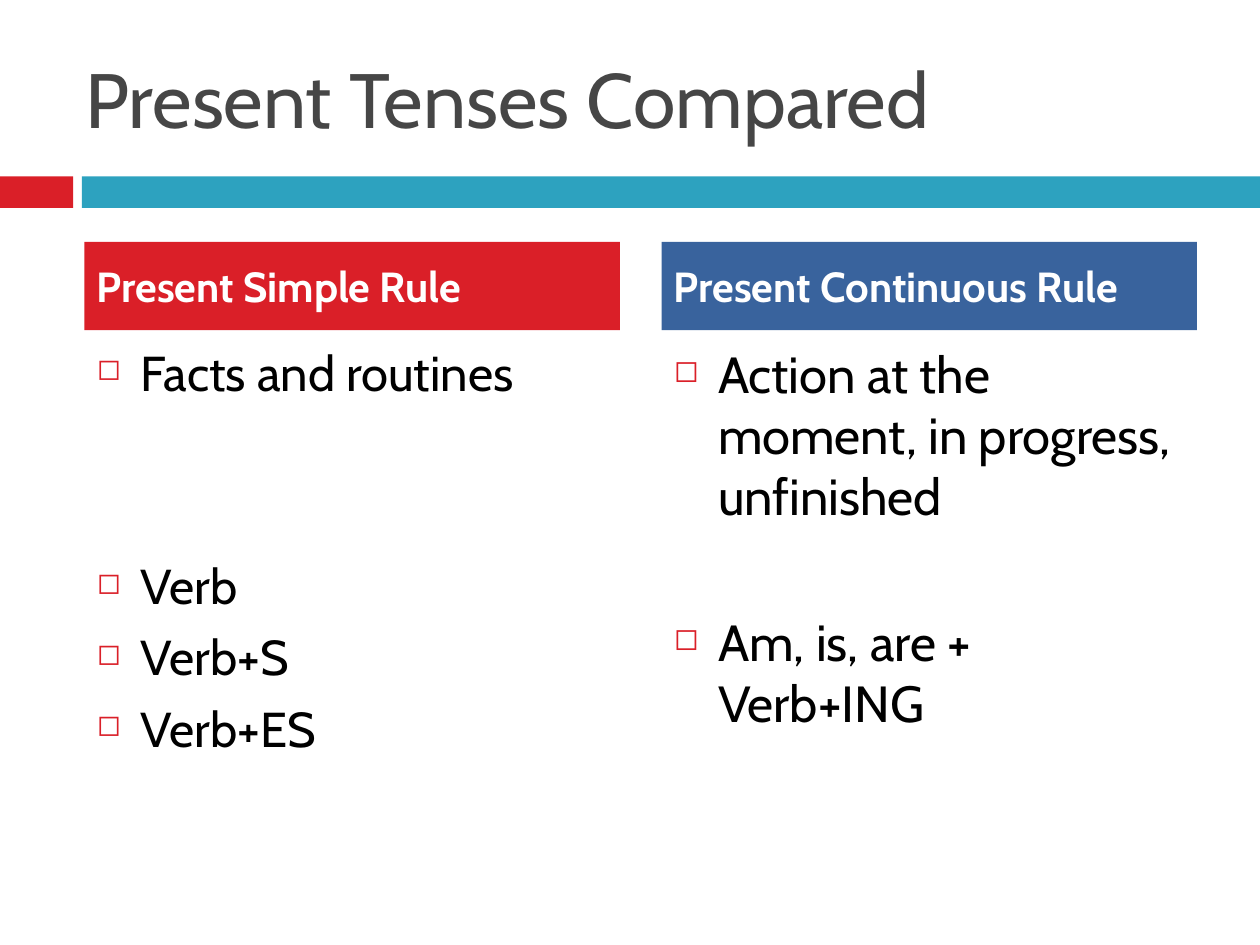
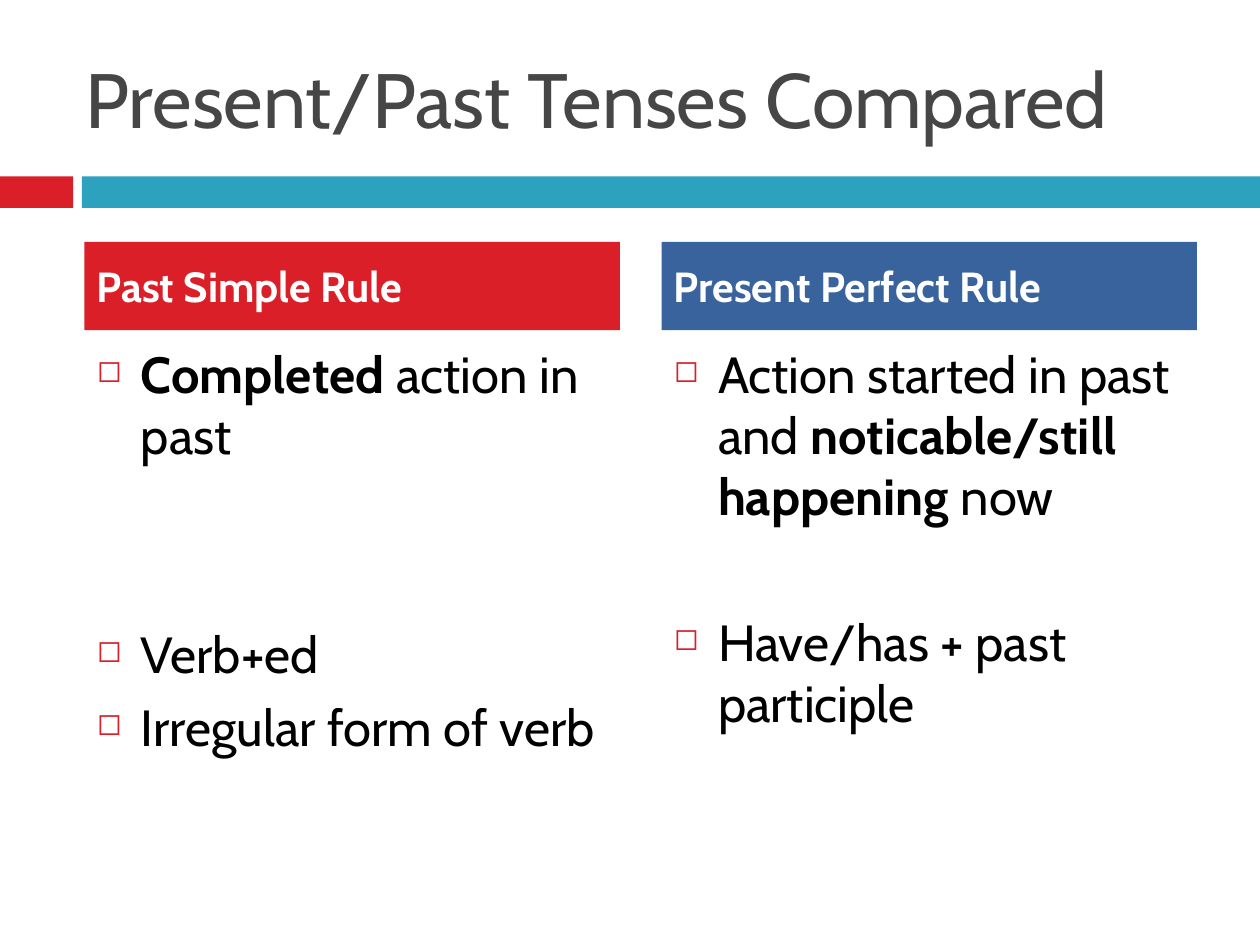
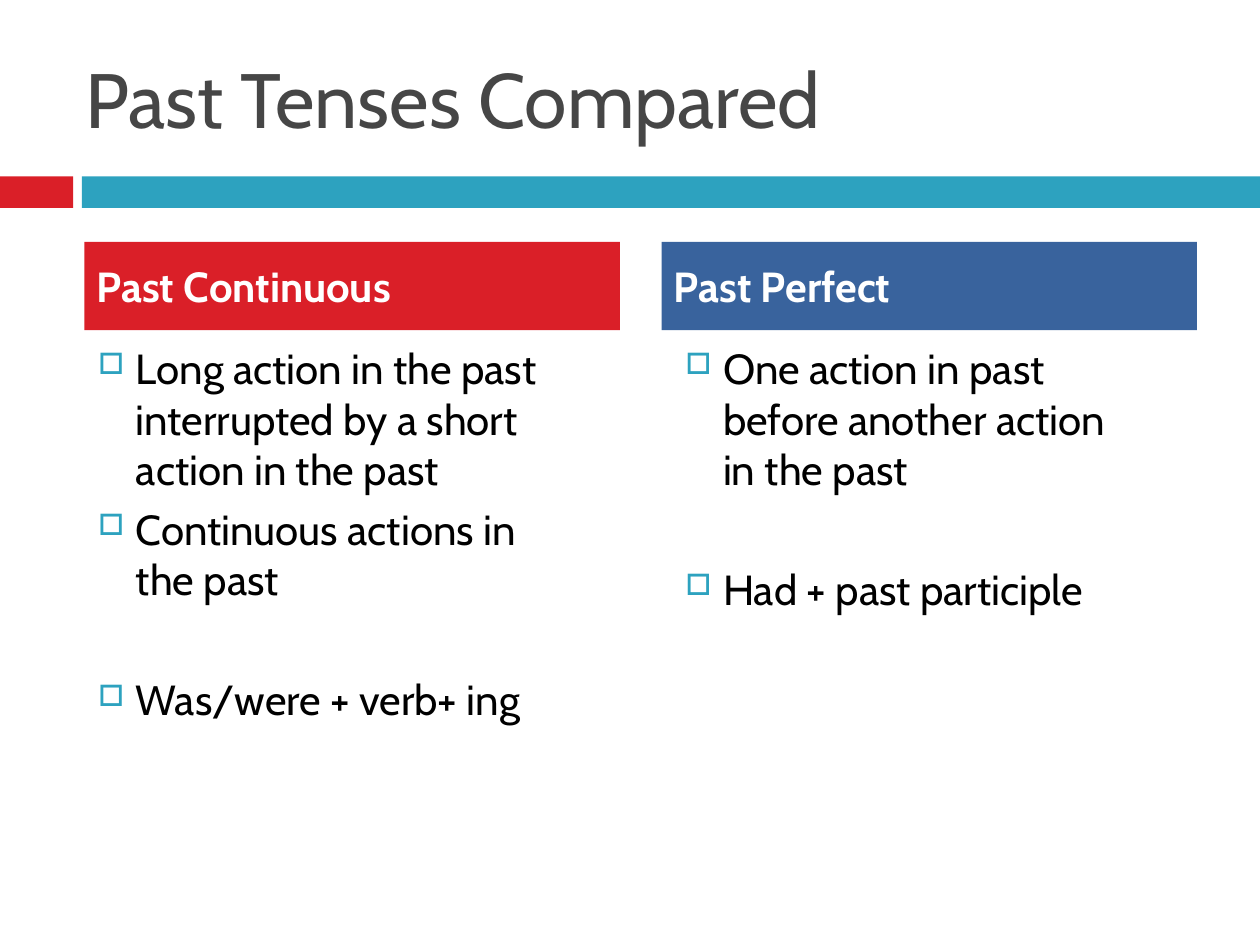
import pptx
import pptx.dml.color
import pptx.enum.shapes
import pptx.enum.text
import pptx.oxml.ns
import pptx.util
import lxml.etree
from dataclasses import dataclass

Inches = pptx.util.Inches
MIDDLE = pptx.enum.text.MSO_ANCHOR.MIDDLE

# Shared look
FONT = "Cabin"
RED, TEAL, BLUE = "DA1F28", "2DA2BF", "39639D"
GREY, BLACK, WHITE = "464646", "000000", "FFFFFF"
LINE_HEIGHT = 1.2

# Shared grid, in inches
TITLE_BOX = (0.58, 0.3, 8.92, 0.95)
BAND_TOP, BAND_HEIGHT = 1.4, 0.25
COLUMN_LEFTS, COLUMN_WIDTH = (0.67, 5.25), 4.25
HEADING_TOP, HEADING_HEIGHT = 1.92, 0.7
LIST_TOP, LIST_HEIGHT = 2.67, 3.92


@dataclass(frozen=True)
class ListStyle:
    symbol: str
    color: str
    percent: int
    indent: float
    hanging: float
    before: float


MAIN_LIST = ListStyle("◻", RED, 60, 0.35, 0.35, 7)
SUB_LIST = ListStyle("□", TEAL, 70, 0.7, 0.3, 5.5)


@dataclass
class Column:
    heading: str
    items: list  # (runs, blank lines above); runs are text or (text, bold) pairs
    size: float
    style: ListStyle = MAIN_LIST
    shift: float = 0


def rgb(value):
    return pptx.dml.color.RGBColor.from_string(value)


def add_text(para, text, size=24, color=BLACK, bold=False):
    span = para.add_run()
    span.text = text
    span.font.name = FONT
    span.font.size = pptx.util.Pt(size)
    span.font.bold = bold
    span.font.color.rgb = rgb(color)


def add_text_box(page, box, anchor=pptx.enum.text.MSO_ANCHOR.TOP):
    frame = page.shapes.add_textbox(*map(Inches, box)).text_frame
    frame.word_wrap = True
    frame.vertical_anchor = anchor
    return frame


def add_block(page, box, color):
    block = page.shapes.add_shape(
        pptx.enum.shapes.MSO_SHAPE.RECTANGLE, *map(Inches, box))
    block.shadow.inherit = False
    block.fill.solid()
    block.fill.fore_color.rgb = rgb(color)
    block.line.fill.background()
    return block


def add_bullet(para, style):
    properties = para._p.get_or_add_pPr()
    properties.set("marL", str(Inches(style.indent)))
    properties.set("indent", str(-Inches(style.hanging)))

    def add(parent, tag, value_name, value):
        child = lxml.etree.SubElement(parent, pptx.oxml.ns.qn(tag))
        child.set(value_name, value)

    bullet_color = lxml.etree.SubElement(properties, pptx.oxml.ns.qn("a:buClr"))
    add(bullet_color, "a:srgbClr", "val", style.color)
    add(properties, "a:buSzPct", "val", str(style.percent * 1000))
    add(properties, "a:buChar", "char", style.symbol)


def add_header(page, title):
    # Title above a two-colour band
    frame = add_text_box(page, TITLE_BOX, MIDDLE)
    add_text(frame.paragraphs[0], title, size=44, color=GREY)
    for left, right, color in ((0, 0.58, RED), (0.65, 10, TEAL)):
        add_block(page, (left, BAND_TOP, right - left, BAND_HEIGHT), color)


def add_heading(page, box, text, color):
    frame = add_block(page, box, color).text_frame
    frame.word_wrap = True
    frame.vertical_anchor = MIDDLE
    para = frame.paragraphs[0]
    para.alignment = pptx.enum.text.PP_ALIGN.LEFT
    add_text(para, text, color=WHITE, bold=True)


def add_list(page, box, column):
    frame = add_text_box(page, box)
    style = column.style
    for index, (runs, blanks) in enumerate(column.items):
        para = frame.add_paragraph() if index else frame.paragraphs[0]
        add_bullet(para, style)
        if index:
            gap = style.before * (blanks + 1) + blanks * column.size * LINE_HEIGHT
            para.space_before = pptx.util.Pt(gap)
        for text, bold in [(runs, False)] if isinstance(runs, str) else runs:
            add_text(para, text, size=column.size, bold=bold)


def add_comparison(deck, title, columns):
    page = deck.slides.add_slide(deck.slide_layouts[6])
    add_header(page, title)
    for left, color, column in zip(COLUMN_LEFTS, (RED, BLUE), columns):
        add_list(page, (left + column.shift, LIST_TOP, COLUMN_WIDTH, LIST_HEIGHT), column)
        add_heading(page, (left, HEADING_TOP, COLUMN_WIDTH, HEADING_HEIGHT),
                    column.heading, color)


COMPARISONS = [
    ("Present Tenses Compared", [
        Column("Present Simple Rule", [
            ("Facts and routines", 0), ("Verb", 2), ("Verb+S", 0), ("Verb+ES", 0)], 28),
        Column("Present Continuous Rule", [
            ("Action at the moment, in progress, unfinished", 0),
            ("Am, is, are + Verb+ING", 1)], 29),
    ]),
    ("Present/Past Tenses Compared", [
        Column("Past Simple Rule", [
            ([("Completed", True), (" action in past", False)], 0),
            ("Verb+ed", 2), ("Irregular form of verb", 0)], 29),
        Column("Present Perfect Rule", [
            ([("Action started in past and ", False),
              ("noticable/still happening ", True), ("now", False)], 0),
            ("Have/has + past participle", 1)], 29),
    ]),
    ("Past Tenses Compared", [
        Column("Past Continuous", [
            ("Long action in the past interrupted by a short action in the past", 0),
            ("Continuous actions in the past", 0),
            ("Was/were + verb+ ing", 1)], 24, SUB_LIST, -0.39),
        Column("Past Perfect", [
            ("One action in past before another action in the past", 0),
            ("Had + past participle", 1)], 24, SUB_LIST, -0.31),
    ]),
]


def main():
    deck = pptx.Presentation()
    deck.slide_width, deck.slide_height = Inches(10), Inches(7.5)
    for title, columns in COMPARISONS:
        add_comparison(deck, title, columns)
    deck.save("out.pptx")


if __name__ == "__main__":
    main()
